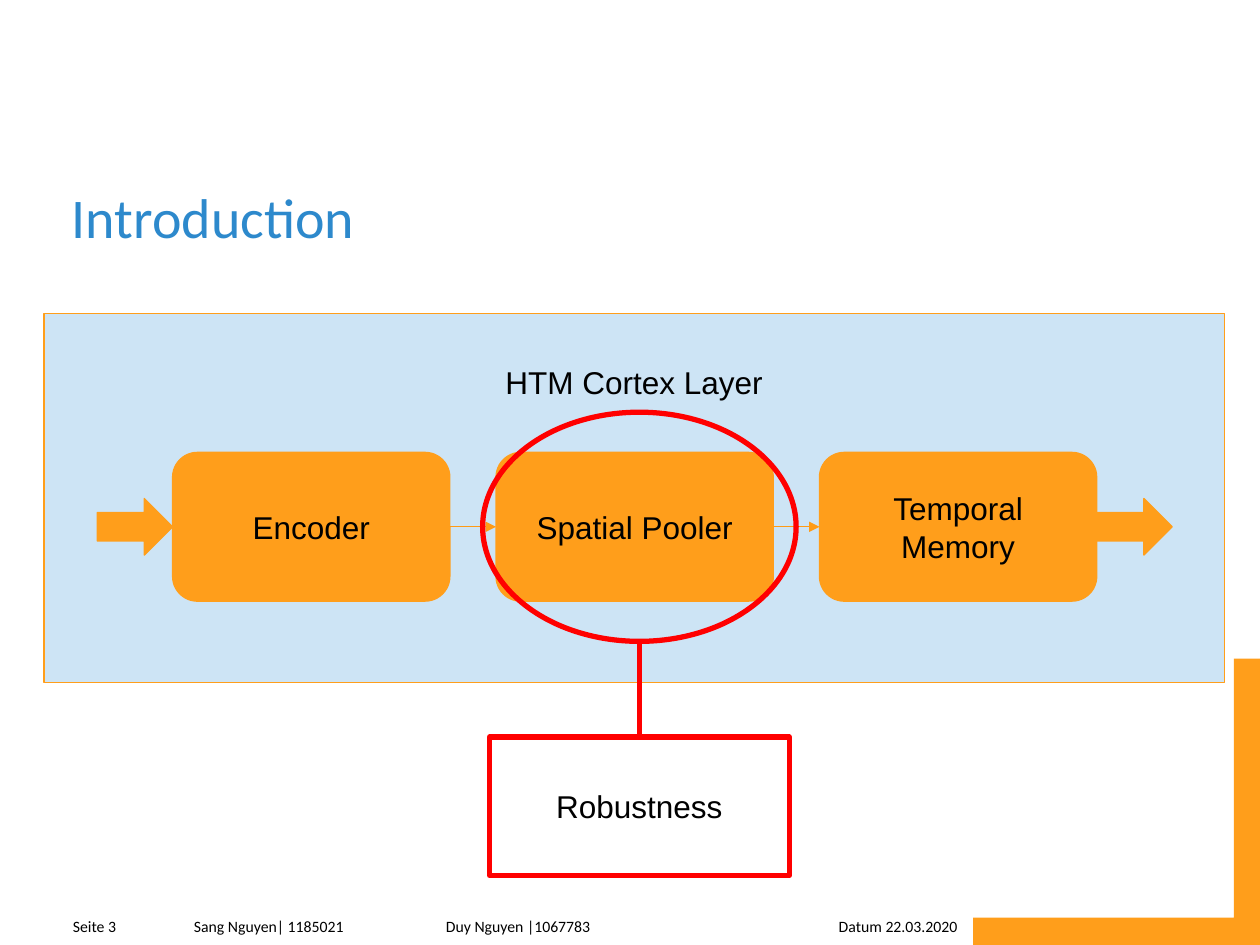
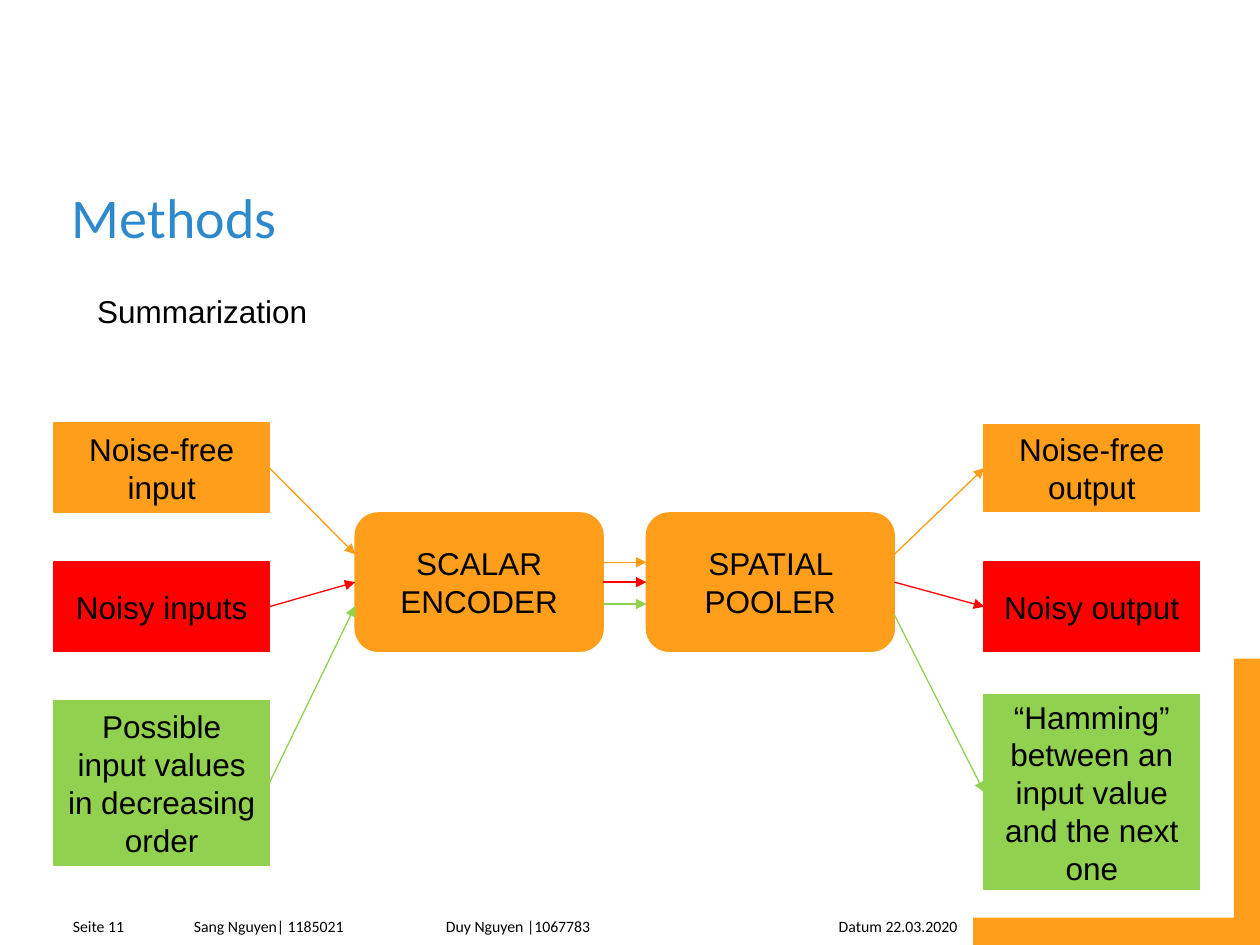
from lxml import etree
from pptx import Presentation
from pptx import util as u
from pptx.dml.color import RGBColor
from pptx.enum import shapes, text
from pptx.oxml.ns import qn

ORANGE, ARROW, RED, GREEN = "FF9E1B", "FF9B15", "FF0000", "92D050"
PALE, BLUE, BLACK = "CDE4F5", "2D89CC", "000000"
KIND = shapes.MSO_SHAPE
ALIGN, ANCHOR = text.PP_ALIGN, text.MSO_ANCHOR


def rgb(code):
    return RGBColor.from_string(code)


def write(shape, words, size=18, font="Arial", color=BLACK,
          align=ALIGN.LEFT, anchor=ANCHOR.TOP, pad=0, wrap=True, tab=None):
    frame = shape.text_frame
    frame.word_wrap = wrap
    frame.auto_size = text.MSO_AUTO_SIZE.NONE
    frame.vertical_anchor = anchor
    frame.margin_left = frame.margin_right = u.Cm(pad)
    frame.margin_top = frame.margin_bottom = u.Cm(pad / 2)
    frame.text = words
    para = frame.paragraphs[0]
    para.alignment = align
    if tab:
        stops = etree.SubElement(para._p.get_or_add_pPr(), qn("a:tabLst"))
        etree.SubElement(stops, qn("a:tab"), pos=str(u.Cm(tab)), algn="l")
    para.font.size = u.Pt(size)
    para.font.name = font
    para.font.color.rgb = rgb(color)
    return para


def label(slide, words, box, **style):
    return write(slide.shapes.add_textbox(*map(u.Cm, box)), words, **style)


def block(slide, kind, box, fill=None, line=ORANGE, width=0.75, words=""):
    shape = slide.shapes.add_shape(kind, *map(u.Cm, box))
    shape.shadow.inherit = False
    if fill:
        shape.fill.solid()
        shape.fill.fore_color.rgb = rgb(fill)
    else:
        shape.fill.background()
    shape.line.color.rgb = rgb(line)
    shape.line.width = u.Pt(width)
    if words:
        write(shape, words, align=ALIGN.CENTER, anchor=ANCHOR.MIDDLE, pad=0.25)
    return shape


def link(slide, start, end, color=ARROW, width=0.75, head=True, begin=None, finish=None):
    line = slide.shapes.add_connector(
        shapes.MSO_CONNECTOR.STRAIGHT, *map(u.Cm, (*start, *end)))
    if begin:
        line.begin_connect(*begin)
    if finish:
        line.end_connect(*finish)
    line.line.color.rgb = rgb(color)
    line.line.width = u.Pt(width)
    if head:
        etree.SubElement(line.line._get_or_add_ln(), qn("a:tailEnd"), type="triangle")
    etree.SubElement(line._element.spPr, qn("a:effectLst"))


def footer(slide, page, x, y):
    style = dict(size=9, font="Calibri", anchor=ANCHOR.BOTTOM)
    label(slide, f"Seite {page}", (x, y, 0.97, 0.38), wrap=False, **style)
    label(slide, "Sang Nguyen| 1185021\tDuy Nguyen |1067783",
          (x + 2.44, y, 10, 0.38), tab=5.08, **style)
    label(slide, "Datum 22.03.2020", (x + 12.83, y, 5, 0.38), align=ALIGN.RIGHT, **style)


def base(deck, name, page):
    slide = deck.slides.add_slide(deck.slide_layouts[5])
    corner = block(slide, KIND.CORNER, (19.62, 13.28, 5.78, 5.78), ORANGE)
    corner.line.fill.background()
    corner.adjustments[0], corner.adjustments[1] = 0.097, 0.091
    corner._element.spPr.find(qn("a:xfrm")).set("flipH", "1")
    title = slide.shapes.title
    title.left, title.top, title.width, title.height = map(u.Cm, (1.45, 3.2, 22.71, 1.85))
    para = write(title, name, 32, "Calibri", BLUE, anchor=ANCHOR.BOTTOM)
    para.line_spacing = 0.9
    footer(slide, page, 1.47, 18.49)
    return slide


def layer(slide, x, y, w, h):
    block(slide, KIND.RECTANGLE, (x, y, w, h), PALE)
    label(slide, "HTM Cortex Layer", (x + 9.3, y + 1, 5.23, 0.76), wrap=False)
    wide, high, step = 5.59, 3, 6.52
    left, top = x + 2.59, y + 2.8
    mid = top + high / 2
    last = None
    for i, words in enumerate(("Encoder", "Spatial Pooler", "Temporal Memory")):
        at = left + i * step
        stage = block(slide, KIND.ROUNDED_RECTANGLE, (at, top, wide, high), ORANGE, words=words)
        if last:
            link(slide, (at - step + wide, mid), (at, mid),
                 begin=(last, 3), finish=(stage, 1))
        last = stage
    for at in (left - 1.52, left + 2 * step + wide):
        block(slide, KIND.RIGHT_ARROW, (at, mid - 0.57, 1.52, 1.14), ORANGE)


def focus(slide, x, y, w, h):
    oval = 4.62
    mid = x + w / 2
    block(slide, KIND.OVAL, (x, y, w, oval), line=RED, width=3)
    high = 2.79
    top = y + h - high
    note = block(slide, KIND.RECTANGLE, (mid - 3.02, top, 6.04, high),
                 line=RED, width=3, words="Robustness")
    link(slide, (mid, top), (mid, y + oval), RED, 3, head=False, begin=(note, 0))


def stack(slide, x, y, w, rows):
    return [block(slide, KIND.RECTANGLE, (x, y + dy, w, high), fill, fill, words=words)
            for fill, (words, dy, high) in zip((ORANGE, RED, GREEN), rows)]


def scheme(slide, x, y, w):
    wide = 4.34
    ins = stack(slide, x, y, wide, (
        ("Noise-free input", 0, 1.8),
        ("Noisy inputs", 2.8, 1.8),
        ("Possible input values in decreasing order", 5.59, 3.33)))
    outs = stack(slide, x + w - wide, y, wide, (
        ("Noise-free output", 0.03, 1.75),
        ("Noisy output", 2.8, 1.8),
        ("“Hamming” between an input value and the next one", 5.47, 3.94)))
    size, high, top = 5, 2.79, y + 1.81
    left, right = x + 6.07, x + 11.94
    coder, pool = [
        block(slide, KIND.ROUNDED_RECTANGLE, (at, top, size, high), ORANGE, words=words)
        for at, words in ((left, "SCALAR ENCODER"), (right, "SPATIAL POOLER"))]
    mid = top + high / 2
    colors = (ARROW, RED, GREEN)
    shifts = ((-0.56, -0.4, -0.56), (0, 0, 0), (0.48, 0.44, 0.66))
    for color, source, sink, (enter, cross, leave) in zip(colors, ins, outs, shifts):
        def port(shape, side):
            return None if enter else (shape, side)
        link(slide, (x + wide, mid), (left, mid + enter), color,
             begin=(source, 3), finish=port(coder, 1))
        link(slide, (left + size, mid + cross), (right, mid + cross), color,
             begin=port(coder, 3), finish=port(pool, 1))
        link(slide, (right + size, mid + leave), (x + w - wide, mid), color,
             begin=port(pool, 3), finish=(sink, 1))


def main():
    deck = Presentation()
    deck.slide_width, deck.slide_height = u.Cm(25.4), u.Cm(19.05)
    intro = base(deck, "Introduction", 3)
    layer(intro, 0.89, 6.32, 23.8, 7.44)
    focus(intro, 9.73, 8.31, 6.32, 9.34)
    method = base(deck, "Methods", 11)
    label(method, "Summarization", (1.96, 5.89, 6.07, 0.76))
    scheme(method, 1.09, 8.53, 23.09)
    deck.save("out.pptx")


if __name__ == "__main__":
    main()
